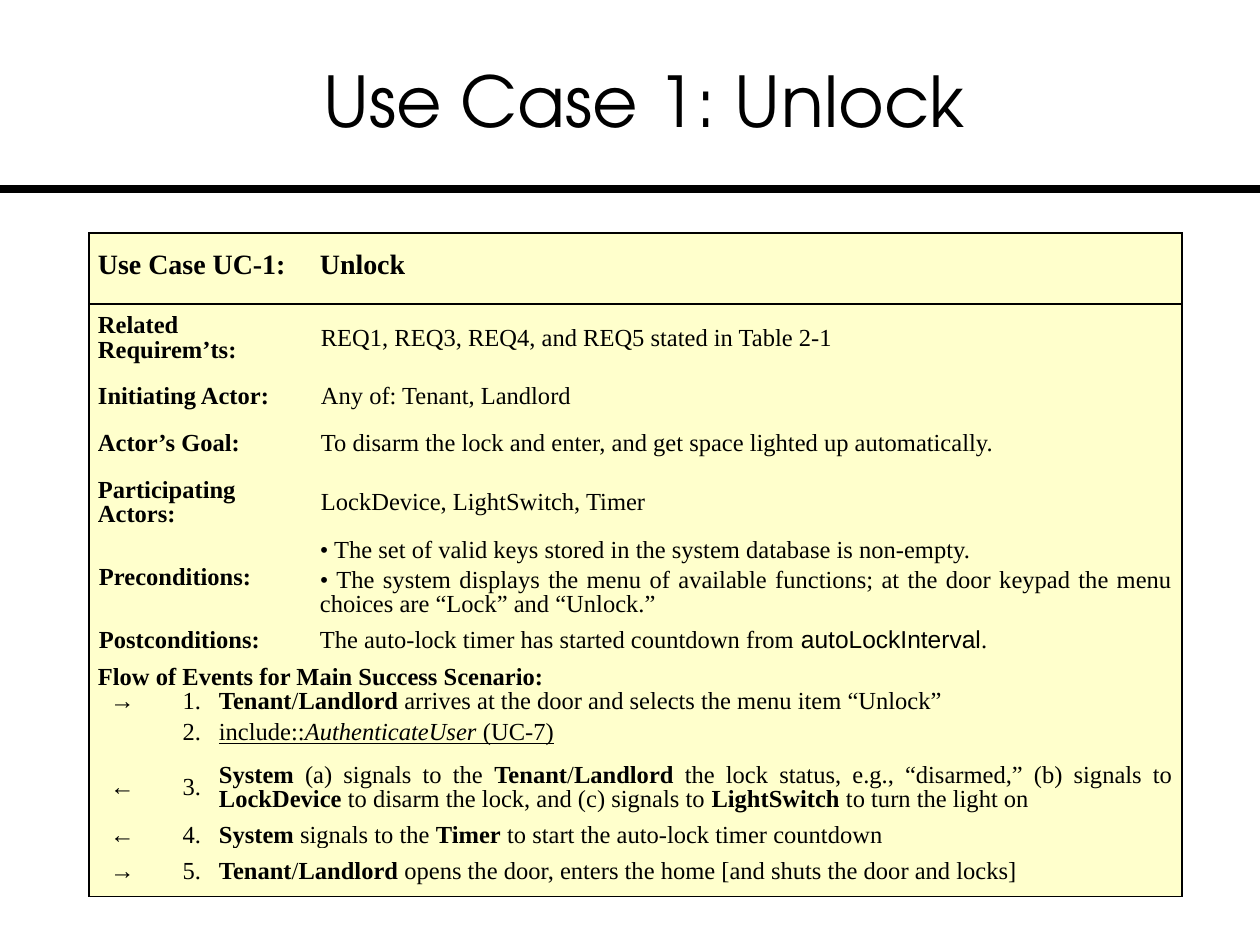
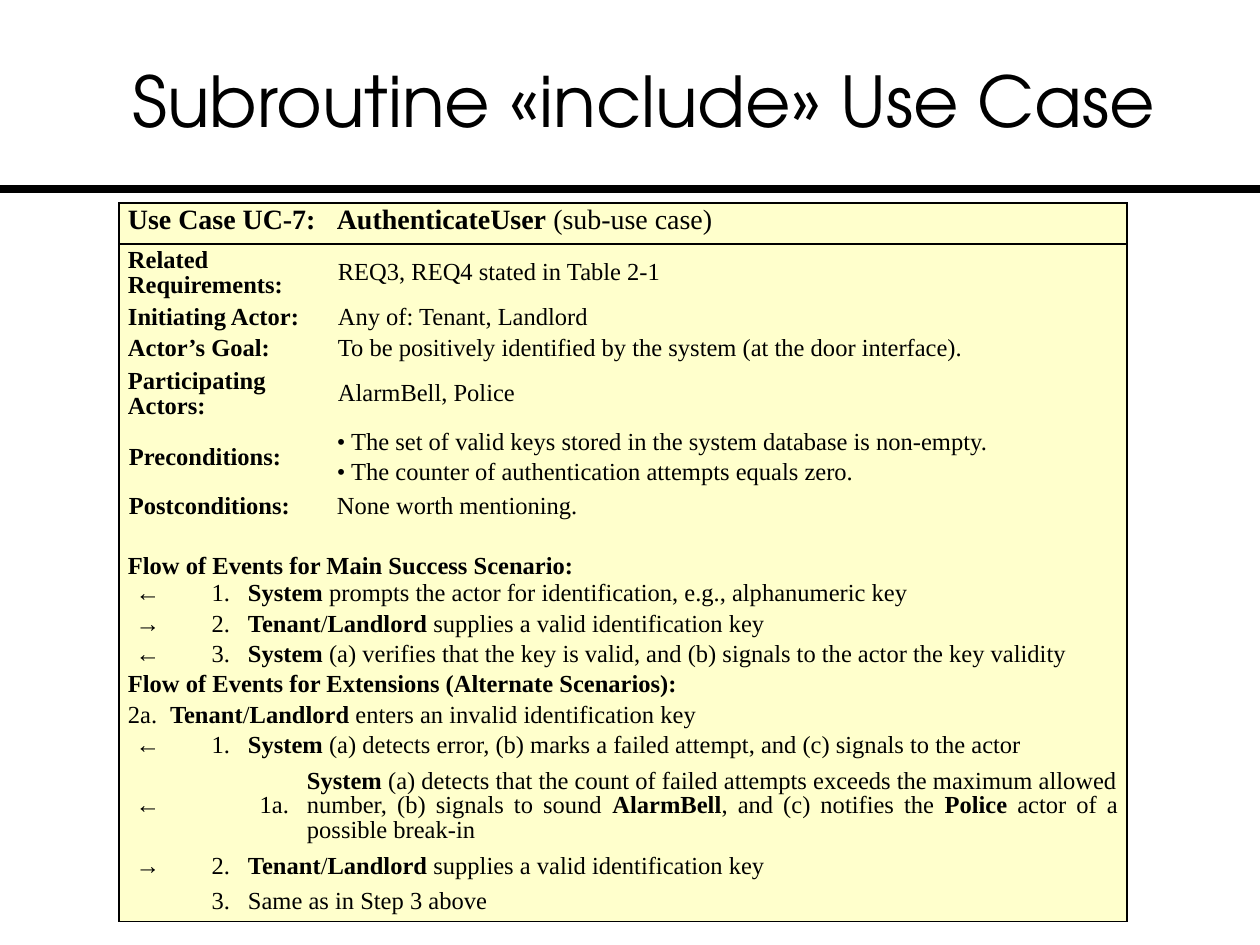
"""Builds two use case slides, each with a ruled title and a use case table."""
from dataclasses import dataclass
from itertools import groupby

from lxml.etree import SubElement
from pptx import Presentation
from pptx.dml.color import RGBColor
from pptx.enum.shapes import MSO_CONNECTOR
from pptx.enum.text import MSO_ANCHOR, PP_ALIGN
from pptx.oxml.ns import qn
from pptx.util import Emu, Pt

SCALE = 914400 / 126
WIDTH, HEIGHT = 1260, 945
BLACK, CREAM = "000000", "FFFFCC"
TITLE_FONT, BODY_FONT, CODE_FONT = "TeX Gyre Adventor", "Times New Roman", "Arial"
BODY_SIZE, HEAD_SIZE, TITLE_SIZE = 14, 16, 40
BOLD, ITALIC, UNDERLINE, CODE = MARKS = "*~_`"
TAB_STOP = 42
LEFT, CENTER, RIGHT, JUSTIFY = (
    PP_ALIGN.LEFT, PP_ALIGN.CENTER, PP_ALIGN.RIGHT, PP_ALIGN.JUSTIFY)


@dataclass
class Cell:
    """Marked-up text that runs from column col to the next cell's column."""
    col: int
    text: str
    align: PP_ALIGN = JUSTIFY
    size: int = BODY_SIZE
    pads: tuple[int, int] = (9, 9)
    anchor: MSO_ANCHOR = MSO_ANCHOR.MIDDLE


@dataclass
class Row:
    """A table row with its height."""
    height: int
    cells: list[Cell]


@dataclass
class UseCase:
    """One slide: title, table position, column widths and rows."""
    title: str
    left: int
    top: int
    cols: list[int]
    rows: list[Row]


def px(n: int) -> Emu:
    """Turn pixels into EMU."""
    return Emu(round(n * SCALE))


def rgb(value: str) -> RGBColor:
    """Turn a hex string into a colour."""
    return RGBColor.from_string(value)


def heading(height: int, code: str, name: str) -> Row:
    """Row that names the use case."""
    return Row(height, [Cell(0, f"*{code}*", LEFT, HEAD_SIZE),
                        Cell(-1, name, LEFT, HEAD_SIZE)])


def field(height: int, label: str, value: str) -> Row:
    """Row with a bold label and its value."""
    return Row(height, [Cell(0, f"*{label}:*"), Cell(-1, value, pads=(10, 5))])


def condition(height: int, label: str, value: str) -> Row:
    """Row with a bold condition label and its statements."""
    return Row(height, [Cell(0, f"*{label}:*", pads=(10, 3)), Cell(-1, value)])


def flow(height: int, text: str, anchor: MSO_ANCHOR = MSO_ANCHOR.MIDDLE) -> Row:
    """Row with one text across the whole table."""
    return Row(height, [Cell(0, text, anchor=anchor)])


def step(height: int, arrow: str, number: str, text: str, col: int = 1) -> Row:
    """Row with an arrow, a step number in column col and the step."""
    gap = [Cell(i, "") for i in range(1, col)]
    return Row(height, [Cell(0, arrow, CENTER), *gap,
                        Cell(col, number, RIGHT), Cell(col + 1, text)])


def style_run(r, font: str, size: int) -> None:
    """Set the font of a run."""
    r.font.name, r.font.size = font, Pt(size)
    r.font.color.rgb = rgb(BLACK)


def write_line(p, text: str, size: int) -> None:
    """Write marked-up text into a paragraph as formatted runs."""
    active: set[str] = set()
    for is_mark, chars in groupby(text, lambda c: c in MARKS):
        chunk = "".join(chars)
        if is_mark:
            active ^= set(chunk)
            continue
        r = p.add_run()
        r.text = chunk
        style_run(r, CODE_FONT if CODE in active else BODY_FONT, size)
        r.font.bold, r.font.italic = BOLD in active, ITALIC in active
        r.font.underline = UNDERLINE in active
    if "\t" in text:
        tabs = SubElement(p._p.get_or_add_pPr(), qn("a:tabLst"))
        SubElement(tabs, qn("a:tab"), pos=str(px(TAB_STOP)), algn="l")


def fill_cell(cell, content: Cell) -> None:
    """Fill a table cell with its content."""
    tf = cell.text_frame
    cell.margin_left, cell.margin_right = map(px, content.pads)
    cell.margin_top = cell.margin_bottom = 0
    cell.vertical_anchor = content.anchor
    for i, line in enumerate(content.text.split("\n")):
        p = tf.add_paragraph() if i else tf.paragraphs[0]
        p.alignment, p.line_spacing = content.align, Pt(14)
        if i:
            p.space_before = Pt(3)
        write_line(p, line, content.size)


def paint_cell(cell, edges: dict[str, bool]) -> None:
    """Draw the chosen edges of a cell and fill it."""
    tc_pr = cell._tc.get_or_add_tcPr()
    for side, drawn in edges.items():
        ln = SubElement(tc_pr, qn(f"a:ln{side}"), w=str(Pt(1)))
        paint = SubElement(ln, qn("a:solidFill" if drawn else "a:noFill"))
        if drawn:
            SubElement(paint, qn("a:srgbClr"), val=BLACK)
    cell.fill.solid()
    cell.fill.fore_color.rgb = rgb(CREAM)


def add_use_case_table(s, case: UseCase) -> None:
    """Add the use case table, boxed and ruled below its heading."""
    n, last = len(case.cols), len(case.rows) - 1
    frame = s.shapes.add_table(
        last + 1, n, px(case.left), px(case.top), px(sum(case.cols)),
        px(sum(row.height for row in case.rows)))
    table = frame.table
    table.first_row = table.horz_banding = False
    for column, width in zip(table.columns, case.cols):
        column.width = px(width)
    for y, row in enumerate(case.rows):
        table.rows[y].height = px(row.height)
        starts = [content.col % n for content in row.cells]
        contents = dict(zip(starts, row.cells))
        for x, end in zip(starts, [*starts[1:], n]):
            if end - x > 1:
                table.cell(y, x).merge(table.cell(y, end - 1))
        for x in range(n):
            cell = table.cell(y, x)
            fill_cell(cell, contents.get(x, Cell(x, "")))
            width = cell.span_width if cell.is_merge_origin else 1
            paint_cell(cell, {"L": x == 0, "R": x + width == n,
                              "T": y in (0, 1), "B": y in (0, last)})


def add_title(s, text: str) -> None:
    """Add the slide title and the rule below it."""
    rule = s.shapes.add_connector(
        MSO_CONNECTOR.STRAIGHT, 0, px(189), px(WIDTH), px(189))
    rule.line.color.rgb, rule.line.width = rgb(BLACK), Pt(4.5)
    SubElement(rule._element.spPr, qn("a:effectLst"))
    sp = s.shapes.add_textbox(px(53), px(21), px(1182), px(158))
    tf = sp.text_frame
    tf.word_wrap, tf.vertical_anchor = True, MSO_ANCHOR.MIDDLE
    tf.margin_left = tf.margin_right = 0
    tf.text = text
    p = tf.paragraphs[0]
    p.alignment = CENTER
    style_run(p.runs[0], TITLE_FONT, TITLE_SIZE)


MAIN_FLOW = "*Flow of Events for Main Success Scenario:*"
VALID_KEYS = "• The set of valid keys stored in the system database is non-empty."
SUPPLY_KEY = "*Tenant*/*Landlord* supplies a valid identification key"

USE_CASES = [
    UseCase("Use Case 1: Unlock", 89, 233, [67, 54, 101, 871], [
        heading(71, "Use Case UC-1:", "*Unlock*"),
        field(70, "Related Requirem’ts", "REQ1, REQ3, REQ4, and REQ5 stated in Table 2-1"),
        field(47, "Initiating Actor", "Any of: Tenant, Landlord"),
        field(47, "Actor’s Goal",
              "To disarm the lock and enter, and get space lighted up automatically."),
        field(71, "Participating Actors", "LockDevice, LightSwitch, Timer"),
        condition(79, "Preconditions",
                  f"{VALID_KEYS}\n• The system displays the menu of available functions; "
                  "at the door keypad the menu choices are “Lock” and “Unlock.”"),
        condition(48, "Postconditions",
                  "The auto-lock timer has started countdown from `autoLockInterval`."),
        flow(24, MAIN_FLOW),
        step(24, "→", "1.",
             "*Tenant*/*Landlord* arrives at the door and selects the menu item “Unlock”"),
        step(24, "", "2.", "_include::~AuthenticateUser~ (UC-7)_"),
        step(71, "←", "3.",
             "*System* (a) signals to the *Tenant*/*Landlord* the lock status, e.g., "
             "“disarmed,” (b) signals to *LockDevice* to disarm the lock, and (c) "
             "signals to *LightSwitch* to turn the light on"),
        step(24, "←", "4.",
             "*System* signals to the *Timer* to start the auto-lock timer countdown"),
        step(48, "→", "5.",
             "*Tenant*/*Landlord* opens the door, enters the home "
             "[and shuts the door and locks]"),
    ]),
    UseCase("Subroutine «include» Use Case", 119, 203, [58, 62, 59, 30, 799], [
        heading(41, "Use Case UC-7:", "*AuthenticateUser* (sub-use case)"),
        field(60, "Related Requirements", "REQ3, REQ4 stated in Table 2‑1"),
        field(30, "Initiating Actor", "Any of: Tenant, Landlord"),
        field(31, "Actor’s Goal",
              "To be positively identified by the system (at the door interface)."),
        field(60, "Participating Actors", "AlarmBell, Police"),
        condition(67, "Preconditions",
                  f"{VALID_KEYS}\n• The counter of authentication attempts equals zero."),
        condition(31, "Postconditions", "None worth mentioning."),
        flow(57, MAIN_FLOW, MSO_ANCHOR.BOTTOM),
        step(30, "←", "1.",
             "*System* prompts the actor for identification, e.g., alphanumeric key"),
        step(31, "→", "2.", SUPPLY_KEY),
        step(30, "←", "3.",
             "*System* (a) verifies that the key is valid, and (b) signals to the "
             "actor the key validity"),
        flow(30, "*Flow of Events for Extensions (Alternate Scenarios):*"),
        flow(31, "2a.\t*Tenant*/*Landlord* enters an invalid identification key"),
        step(30, "←", "1.",
             "*System* (a) detects error, (b) marks a failed attempt, and (c) "
             "signals to the actor"),
        step(91, "←", "1a.",
             "*System* (a) detects that the count of failed attempts exceeds the "
             "maximum allowed number, (b) signals to sound *AlarmBell*, and (c) "
             "notifies the *Police* actor of a possible break-in", col=2),
        step(31, "→", "2.", SUPPLY_KEY),
        step(30, "", "3.", "Same as in Step 3 above"),
    ]),
]


def main() -> None:
    """Build and save the presentation."""
    prs = Presentation()
    prs.slide_width, prs.slide_height = px(WIDTH), px(HEIGHT)
    for case in USE_CASES:
        s = prs.slides.add_slide(prs.slide_layouts[6])
        add_title(s, case.title)
        add_use_case_table(s, case)
    prs.save("out.pptx")


if __name__ == "__main__":
    main()
